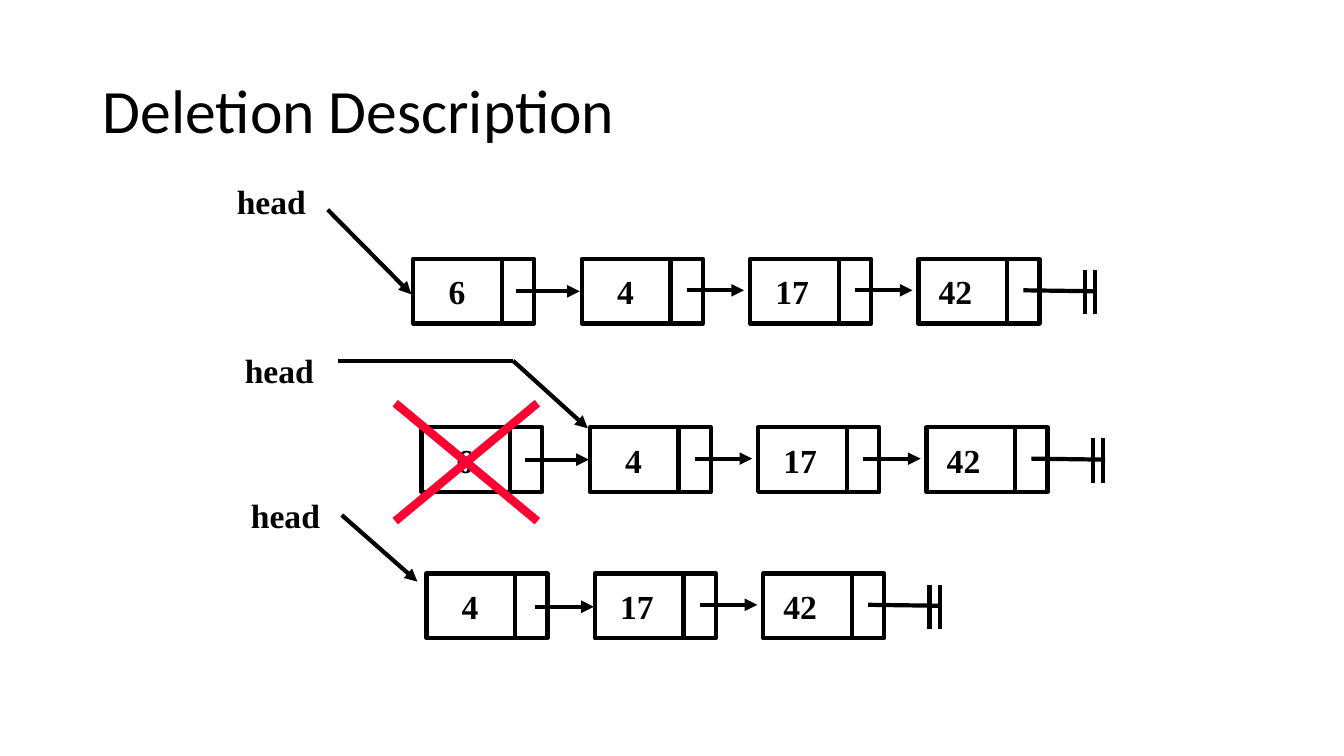
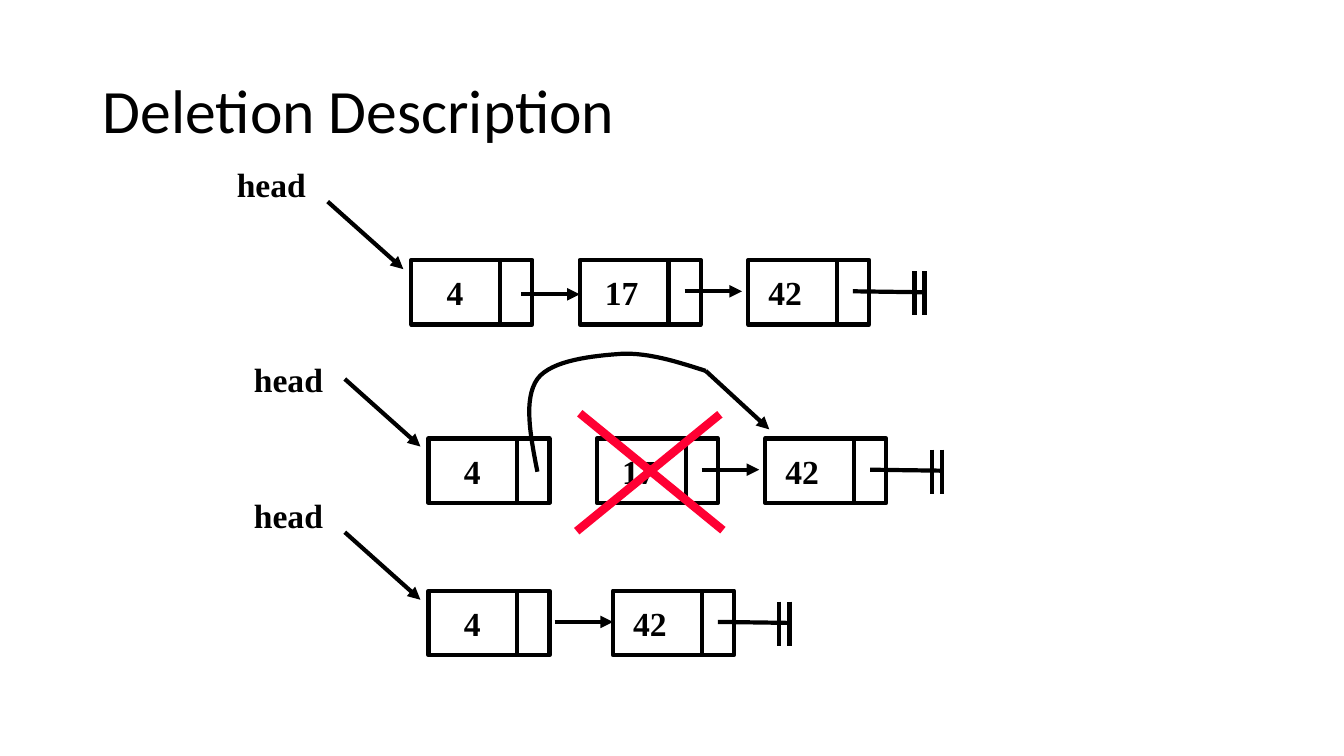
"""Build two slides that show how nodes are deleted from a linked list."""
from dataclasses import dataclass

from lxml import etree
from pptx import Presentation
from pptx.dml.color import RGBColor
from pptx.enum import shapes, text
from pptx.oxml import ns
from pptx.util import Inches, Pt


@dataclass(frozen=True)
class Theme:
    """Colours, fonts, type sizes and line widths."""
    ink: RGBColor = RGBColor(0, 0, 0)
    strike: RGBColor = RGBColor(0xFF, 0, 0x33)
    title_font: str = "Calibri"
    label_font: str = "Times New Roman"
    title_size: int = 44
    label_size: int = 24
    line: int = 3
    strike_line: int = 6


THEME = Theme()
TITLE = "Deletion Description"
TITLE_BOX = (0.92, 0.4, 11.5, 1.45)
NODE_WIDTH, NODE_HEIGHT, DIVIDER = 1.2, 0.64, 0.88
PITCH = 1.67
LINK = (1.04, 1.61, 0.31)
VALUE_INSET = {"6": 0.35, "4": 0.35, "17": 0.25, "42": 0.2}
GROUND_LINES = [
    ((1.04, 0.31), (1.77, 0.32)),
    ((1.65, 0.11), (1.65, 0.55)),
    ((1.75, 0.11), (1.75, 0.55)),
]

SLIDES = [
    [
        {"head": (2.25, 1.75), "pointer": [(3.25, 2.08), (4.08, 2.92)],
         "start": (4.1, 2.57), "values": ["6", "4", "17", "42"],
         "first_link": (1.02, 1.65, 0.32)},
        {"head": (2.33, 3.42),
         "pointer": [(3.35, 3.58), (5.09, 3.58), (5.83, 4.25)],
         "start": (4.18, 4.24), "values": ["6", "4", "17", "42"],
         "first_link": (1.03, 1.66, 0.32),
         "cross": [((3.92, 4), (5.33, 5.17)), ((5.33, 4), (3.92, 5.17))]},
        {"head": (2.39, 4.86), "pointer": [(3.39, 5.11), (4.14, 5.77)],
         "start": (4.23, 5.69), "values": ["4", "17", "42"],
         "first_link": (1.08, 1.66, 0.33)},
    ],
    [
        {"head": (2.25, 1.58), "pointer": [(3.25, 2), (4, 2.67)],
         "start": (4.08, 2.58), "values": ["4", "17", "42"],
         "first_link": (1.09, 1.67, 0.34)},
        {"head": (2.42, 3.51), "pointer": [(3.42, 3.76), (4.17, 4.43)],
         "start": (4.25, 4.35), "values": ["4", "17", "42"],
         "first_link": None,
         "cross": [((5.75, 4.1), (7.17, 5.26)), ((7.14, 4.11), (5.72, 5.27))],
         "bypass": [(5.33, 4.68), (5.26, 4.32), (5.19, 3.96), (5.33, 3.76),
                    (5.47, 3.57), (5.89, 3.53), (6.17, 3.51),
                    (6.44, 3.5), (6.72, 3.59), (7, 3.68)],
         "bypass_end": (7.63, 4.26)},
        {"head": (2.42, 4.86), "pointer": [(3.42, 5.28), (4.17, 5.95)],
         "start": (4.25, 5.86), "values": ["4", "42"],
         "first_link": (1.25, 1.83, 0.31), "pitch": 1.83},
    ],
]


def apply(target, values):
    """Set each named attribute on the target."""
    for name, value in values.items():
        setattr(target, name, value)


def write(frame, words, font, size, bold, frame_format):
    """Write one left-aligned line of text in a frame."""
    apply(frame, frame_format)
    para = frame.paragraphs[0]
    para.alignment = text.PP_ALIGN.LEFT
    span = para.add_run()
    span.text = words
    apply(span.font, {"name": font, "size": Pt(size), "bold": bold})
    span.font.color.rgb = THEME.ink
    return para


def outline(shape):
    """Give a shape a plain black outline without fill or shadow."""
    shape.shadow.inherit = False
    shape.fill.background()
    shape.line.color.rgb = THEME.ink
    shape.line.width = Pt(THEME.line)


def draw_line(page, start, end, arrow=False, color=THEME.ink, width=THEME.line):
    """Draw a straight line, with an arrowhead at its end if asked."""
    points = [Inches(value) for value in (*start, *end)]
    line = page.shapes.add_connector(shapes.MSO_CONNECTOR.STRAIGHT, *points)
    line.line.color.rgb = color
    line.line.width = Pt(width)
    properties = line._element.spPr
    if arrow:
        stroke = properties.find(ns.qn("a:ln"))
        etree.SubElement(stroke, ns.qn("a:tailEnd"), type="triangle")
    etree.SubElement(properties, ns.qn("a:effectLst"))


def draw_node(page, left, top, value):
    """Draw a node: a value cell and a link cell."""
    box = page.shapes.add_shape(
        shapes.MSO_SHAPE.RECTANGLE,
        *map(Inches, (left, top, NODE_WIDTH, NODE_HEIGHT)))
    outline(box)
    write(box.text_frame, value, THEME.label_font, THEME.label_size, True, {
        "margin_left": Inches(VALUE_INSET[value]), "word_wrap": False,
        "vertical_anchor": text.MSO_ANCHOR.MIDDLE})
    draw_line(page, (left + DIVIDER, top), (left + DIVIDER, top + NODE_HEIGHT))


def draw_curve(page, points, steps=16):
    """Draw a chain of cubic curves as one smooth open outline."""
    def position(corners, part):
        weights = ((1 - part) ** 3, 3 * part * (1 - part) ** 2,
                   3 * part ** 2 * (1 - part), part ** 3)
        return tuple(Inches(sum(weight * corner[axis]
                                for weight, corner in zip(weights, corners)))
                     for axis in (0, 1))

    trail = [position(points[first:first + 4], step / steps)
             for first in range(0, len(points) - 1, 3)
             for step in range(1, steps + 1)]
    builder = page.shapes.build_freeform(*map(Inches, points[0]))
    builder.add_line_segments(trail, close=False)
    outline(builder.convert_to_shape())


def draw_list(page, row):
    """Draw one linked list with its head pointer and any deletion marks."""
    label = page.shapes.add_textbox(*map(Inches, (*row["head"], 0.89, 0.5)))
    write(label.text_frame, "head", THEME.label_font, THEME.label_size, True,
          {"word_wrap": False})
    pointer = row["pointer"]
    for index, ends in enumerate(zip(pointer, pointer[1:]), 2):
        draw_line(page, *ends, arrow=index == len(pointer))

    left, top = row["start"]
    last = len(row["values"]) - 1
    for index, value in enumerate(row["values"]):
        x = left + index * row.get("pitch", PITCH)
        draw_node(page, x, top, value)
        link = LINK if index else row["first_link"]
        if index == last:
            for (x1, y1), (x2, y2) in GROUND_LINES:
                draw_line(page, (x + x1, top + y1), (x + x2, top + y2))
        elif link:
            begin, end, drop = link
            draw_line(page, (x + begin, top + drop), (x + end, top + drop), True)

    for start, end in row.get("cross", []):
        draw_line(page, start, end, color=THEME.strike, width=THEME.strike_line)
    if "bypass" in row:
        draw_curve(page, row["bypass"])
        draw_line(page, row["bypass"][-1], row["bypass_end"], True)


def add_page(deck, rows):
    """Add a titled slide with its linked lists."""
    page = deck.slides.add_slide(deck.slide_layouts[5])
    title = page.shapes.title
    apply(title, dict(zip(("left", "top", "width", "height"),
                          map(Inches, TITLE_BOX))))
    para = write(title.text_frame, TITLE, THEME.title_font, THEME.title_size,
                 False, {"word_wrap": True, "auto_size": text.MSO_AUTO_SIZE.NONE,
                         "vertical_anchor": text.MSO_ANCHOR.MIDDLE})
    para.line_spacing = 0.9
    for row in rows:
        draw_list(page, row)


def main():
    """Build and save the deck."""
    deck = Presentation()
    apply(deck, {"slide_width": Inches(13.33), "slide_height": Inches(7.5)})
    for rows in SLIDES:
        add_page(deck, rows)
    deck.save("out.pptx")


if __name__ == "__main__":
    main()
